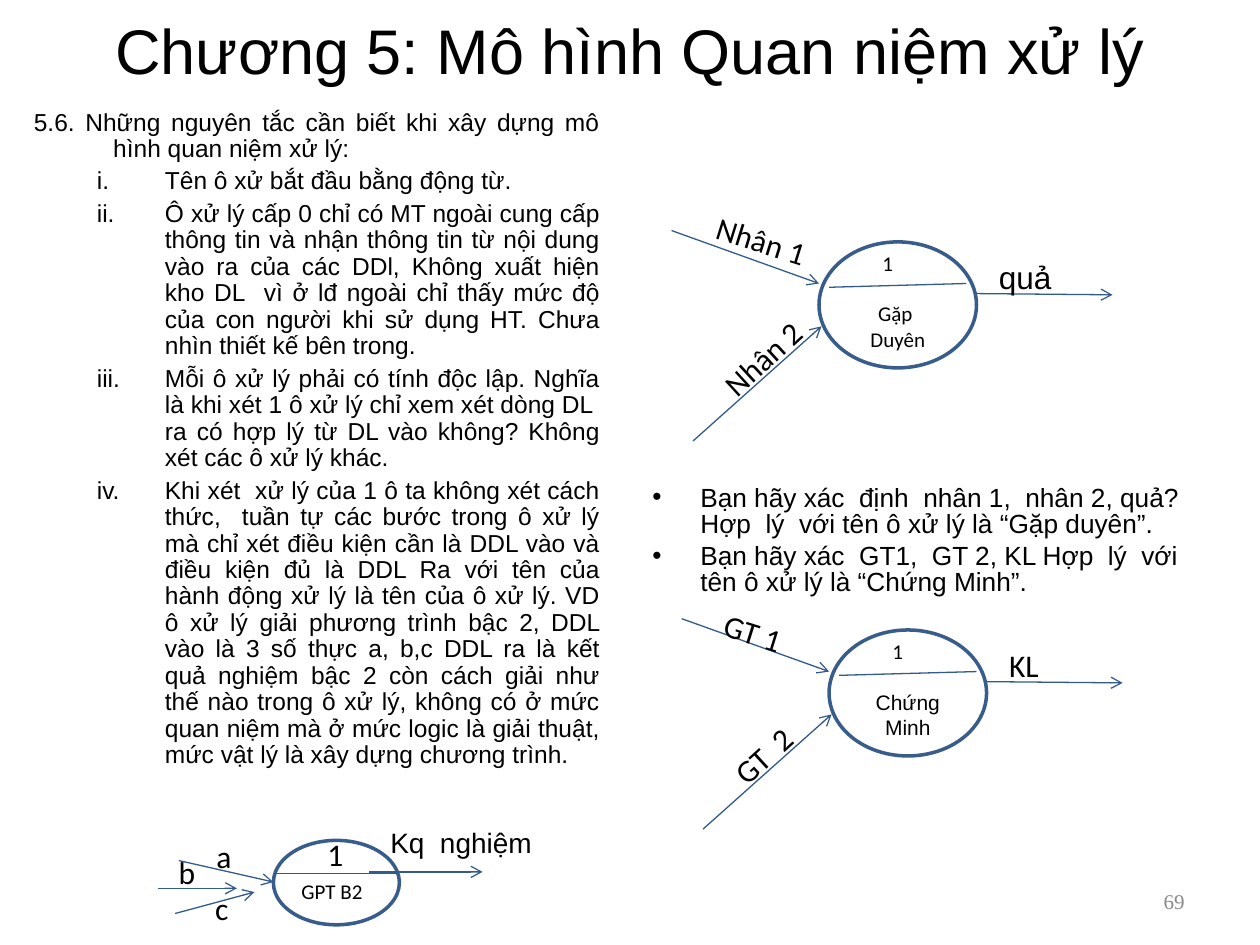
from lxml import etree
from pptx import Presentation
from pptx.dml.color import RGBColor
from pptx.enum import shapes, text
from pptx.oxml import ns
from pptx.util import Inches, Pt

COLORS = {"ink": "000000", "paper": "FFFFFF", "outline": "385D8A",
          "flow": "325B8C", "number": "898989"}
ALIGN = text.PP_ALIGN
HEADING = "5.6. Những nguyên tắc cần biết khi xây dựng mô hình quan niệm xử lý:"
PRINCIPLES = [
    "Tên ô xử bắt đầu bằng động từ.",
    "Ô xử lý cấp 0 chỉ có MT ngoài cung cấp thông tin và nhận thông tin từ nội dung "
    "vào ra của các DDl, Không xuất hiện kho DL  vì ở lđ ngoài chỉ thấy mức độ của "
    "con người khi sử dụng HT. Chưa nhìn thiết kế bên trong.",
    "Mỗi ô xử lý phải có tính độc lập. Nghĩa là khi xét 1 ô xử lý chỉ xem xét dòng DL  "
    "ra có hợp lý từ DL vào không? Không xét các ô xử lý khác.",
    "Khi xét  xử lý của 1 ô ta không xét cách thức,  tuần tự các bước trong ô xử lý mà "
    "chỉ xét điều kiện cần là DDL vào và điều kiện đủ là DDL Ra với tên của hành động "
    "xử lý là tên của ô xử lý. VD ô xử lý giải phương trình bậc 2, DDL vào là 3 số thực "
    "a, b,c DDL ra là kết quả nghiệm bậc 2 còn cách giải như thế nào trong ô xử lý, "
    "không có ở mức quan niệm mà ở mức logic là giải thuật, mức vật lý là xây dựng "
    "chương trình.",
]
QUESTIONS = [
    "Bạn hãy xác  định  nhân 1,  nhân 2, quả? Hợp  lý  với tên ô xử lý là “Gặp duyên”.",
    "Bạn hãy xác  GT1,  GT 2, KL Hợp  lý  với tên ô xử lý là “Chứng Minh”.",
]


def color(name):
    return RGBColor.from_string(COLORS[name])


def add_element(parent, tag, **attributes):
    return etree.SubElement(parent, ns.qn(tag), attributes)


class Board:
    """Holds the slide being filled and the style of its elements."""

    label_style = {"name": "Calibri", "size": Pt(18)}

    def __init__(self, slide):
        self.slide = slide

    def text_frame(self, box, anchor=text.MSO_ANCHOR.TOP, rotation=0):
        holder = self.slide.shapes.add_textbox(*map(Inches, box))
        holder.rotation = rotation
        frame = holder.text_frame
        frame.word_wrap = True
        frame.vertical_anchor = anchor
        return frame

    def fill_paragraph(self, paragraph, words, align, ink="ink", **font):
        paragraph.alignment = align
        run = paragraph.add_run()
        run.text = words
        for key, value in {**self.label_style, **font}.items():
            setattr(run.font, key, value)
        run.font.color.rgb = color(ink)

    def label(self, words, box, align=ALIGN.LEFT, anchor=text.MSO_ANCHOR.TOP,
              rotation=0, **font):
        frame = self.text_frame(box, anchor, rotation)
        self.fill_paragraph(frame.paragraphs[0], words, align, **font)

    def passage(self, box, items, align, size, leading, gap):
        """Fill a box with (words, level, left margin, hanging indent, bullet) items."""
        frame = self.text_frame(box)
        for index, (words, level, margin, hanging, bullet) in enumerate(items):
            paragraph = frame.add_paragraph() if index else frame.paragraphs[0]
            paragraph.level = level
            properties = paragraph._p.get_or_add_pPr()
            properties.set("marL", str(Inches(margin)))
            properties.set("indent", str(-Inches(hanging)))
            if bullet:
                add_element(properties, "a:buFont", typeface="Arial")
                add_element(properties, bullet[0], **bullet[1])
            paragraph.line_spacing = Pt(leading)
            if index:
                paragraph.space_before = Pt(gap)
            self.fill_paragraph(paragraph, words, align, name="Arial", size=Pt(size))

    def ellipse(self, box, filled=False):
        oval = self.slide.shapes.add_shape(shapes.MSO_SHAPE.OVAL, *map(Inches, box))
        oval.shadow.inherit = False
        if filled:
            oval.fill.solid()
            oval.fill.fore_color.rgb = color("paper")
        else:
            oval.fill.background()
        oval.line.color.rgb = color("outline")
        oval.line.width = Pt(2)

    def flow(self, start, end, arrow=True):
        line = self.slide.shapes.add_connector(
            shapes.MSO_CONNECTOR.STRAIGHT, *map(Inches, (*start, *end)))
        line.line.color.rgb = color("flow")
        line.line.width = Pt(0.75)
        if arrow:
            add_element(line.line._get_or_add_ln(), "a:tailEnd", type="arrow")
        add_element(line._element.spPr, "a:effectLst")

    def process(self, x, y, name, name_font, inputs, input_spots, output, output_font):
        """Draw a two-input process whose ellipse has its corner at (x, y)."""
        def at(dx, dy):
            return x + dx, y + dy

        self.label("1", (*at(0.17, 0.02), 0.75, 0.3), ALIGN.CENTER, size=Pt(12))
        self.flow(at(-1, 1.58), at(0.02, 0.67))
        self.flow(at(-1.17, -0.09), at(0, 0.33))
        self.flow(at(1.25, 0.41), at(2.33, 0.42))
        self.flow(at(0.08, 0.36), at(1.17, 0.33), arrow=False)
        for words, spot, rotation in zip(inputs, input_spots, (17.3, 317.5)):
            self.label(words, (*at(*spot), 1, 0.4), rotation=rotation)
        self.label(output, (*at(1.33, 0.08), 1.42, 0.4), name=output_font)
        self.label(name, (*at(0.25, 0.42), 0.75, 0.5), ALIGN.CENTER,
                   name=name_font, size=Pt(12))
        self.ellipse((x, y, 1.25, 1))

    def equation_process(self):
        self.ellipse((2.17, 6.67, 1, 0.67), filled=True)
        self.flow((2.17, 6.93), (3.17, 6.93), arrow=False)
        for start, end in (((1.42, 6.83), (2.17, 7)), ((1.25, 7.05), (1.88, 7.05)),
                           ((1.39, 7.25), (2.02, 7.08)), ((2.93, 6.92), (3.83, 6.92))):
            self.flow(start, end)
        for words, left, top in (("1", 2.5, 6.58), ("a", 1.62, 6.59),
                                 ("b", 1.32, 6.72), ("c", 1.61, 7.01)):
            self.label(words, (left, top, 0.33, 0.4))
        self.label("GPT B2", (2.25, 6.92, 0.77, 0.3), ALIGN.CENTER, size=Pt(12))
        self.label("Kq  nghiệm", (3, 6.5, 1.48, 0.37), name="Arial", size=Pt(16))


def main():
    deck = Presentation()
    deck.slide_width, deck.slide_height = Inches(10), Inches(7.5)
    board = Board(deck.slides.add_slide(deck.slide_layouts[6]))

    roman = ("a:buAutoNum", {"type": "romanLcPeriod"})
    dot = ("a:buChar", {"char": "•"})
    board.passage((0.17, 0.82, 4.69, 5.43),
                  [(HEADING, 0, 0.63, 0.63, None)]
                  + [(words, 1, 1.04, 0.54, roman) for words in PRINCIPLES],
                  ALIGN.JUSTIFY, size=14, leading=15.1, gap=3.5)
    board.passage((5.08, 3.81, 4.42, 2.9),
                  [(words, 0, 0.38, 0.38, dot) for words in QUESTIONS],
                  ALIGN.LEFT, size=15, leading=14.9, gap=3.7)

    board.equation_process()
    board.process(6.5, 1.92, "Gặp  Duyên", "Calibri", ("Nhân 1", "Nhân 2"),
                  ((-0.92, -0.2), (-0.92, 0.7)), "quả", "Arial")
    board.process(6.58, 5, "Chứng Minh", "Arial", ("GT 1", "GT  2"),
                  ((-0.94, -0.13), (-0.92, 0.7)), "KL", "Calibri")

    middle = text.MSO_ANCHOR.MIDDLE
    board.label("Chương 5: Mô hình Quan niệm xử lý", (0.5, 0.08, 9, 0.62),
                ALIGN.CENTER, middle, name="Arial", size=Pt(36))
    board.label("69", (7.17, 6.95, 2.33, 0.4), ALIGN.RIGHT, middle,
                ink="number", name="Times New Roman", size=Pt(12))
    deck.save("out.pptx")


if __name__ == "__main__":
    main()
